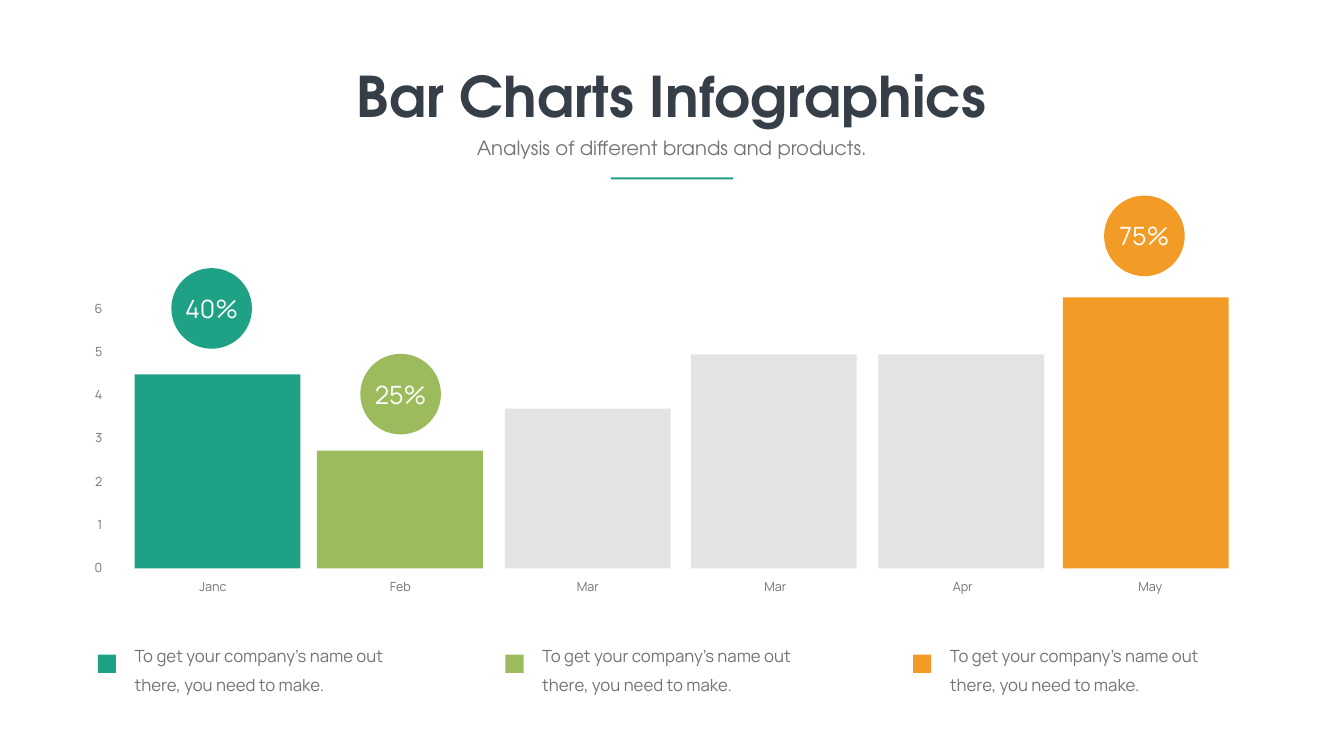
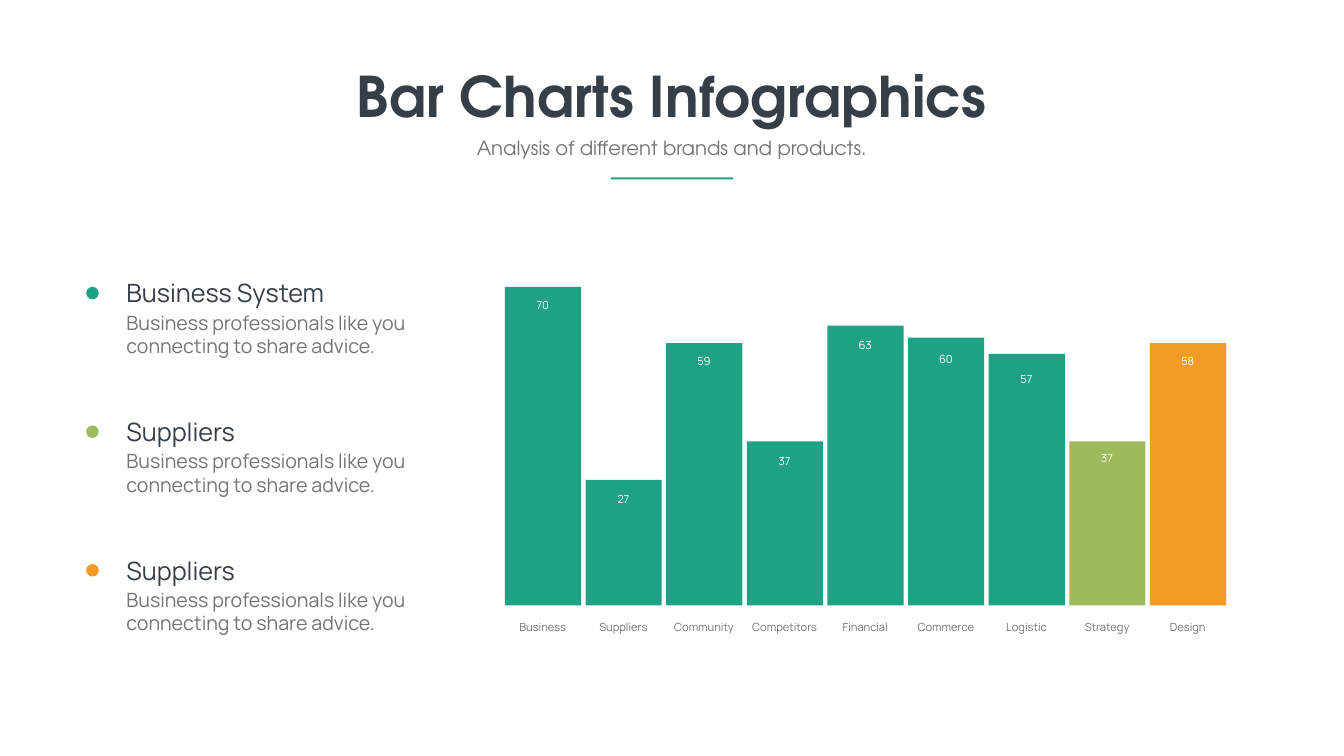
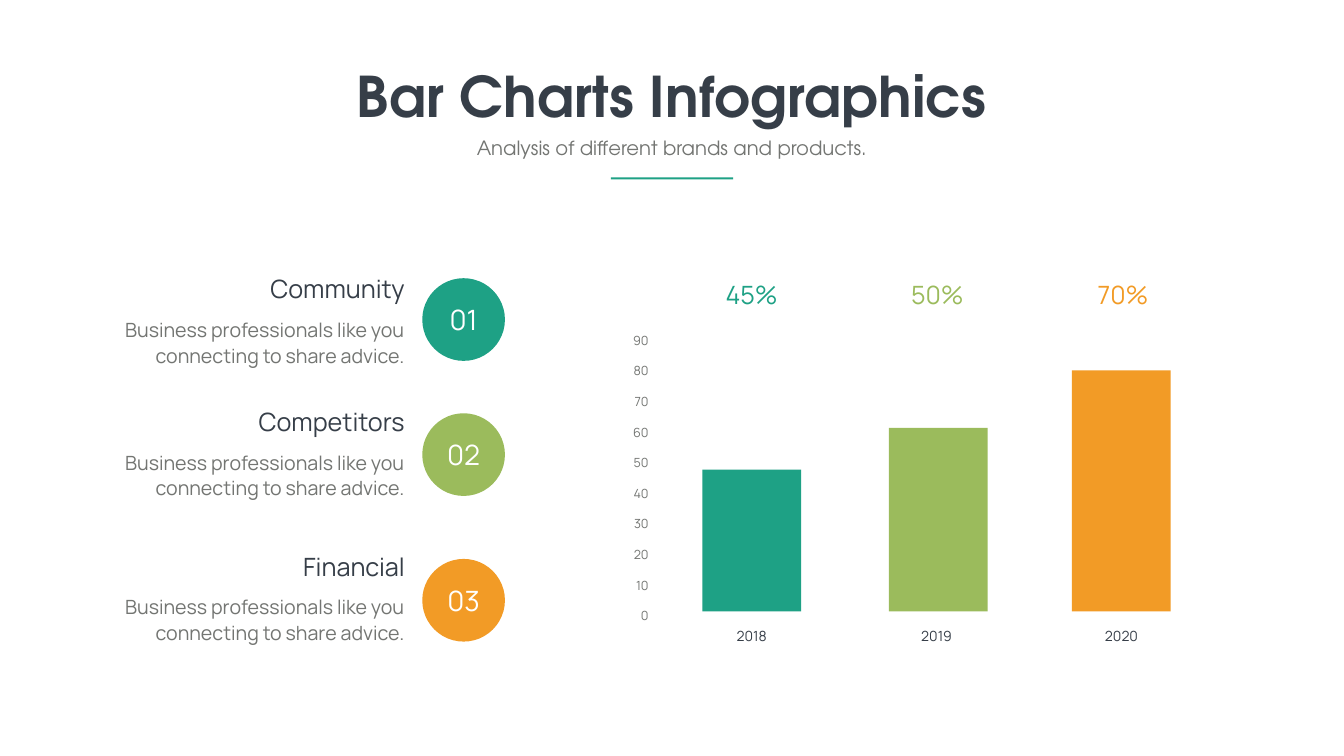
import pptx
import pptx.util
import pptx.dml.color
import pptx.enum.shapes
import pptx.enum.text

PX = 9144
GREEN, LIME, AMBER = HUES = ("1EA185", "9BBB5C", "F29B26")
GREY, INK, PALE, WHITE = "737572", "363E48", "E3E3E3", "FFFFFF"
SANS, HEAD = "Manrope", "TeX Gyre Adventor"
LEFT = pptx.enum.text.PP_ALIGN.LEFT
MID = pptx.enum.text.PP_ALIGN.CENTER
RIGHT = pptx.enum.text.PP_ALIGN.RIGHT
RECT = pptx.enum.shapes.MSO_SHAPE.RECTANGLE
DISC = pptx.enum.shapes.MSO_SHAPE.OVAL
ADVICE = "Business professionals like you connecting to share advice."


def emu(box):
    return [pptx.util.Emu(round(side * PX)) for side in box]


def paint(color):
    return pptx.dml.color.RGBColor.from_string(color)


def style(frame, words, size, color, align=LEFT, face=SANS, bold=False, line=None):
    frame.text = words
    part = frame.paragraphs[0]
    part.alignment = align
    part.space_before = pptx.util.Pt(0)
    if line:
        part.line_spacing = pptx.util.Pt(line)
    for run in part.runs:
        run.font.size = pptx.util.Pt(size)
        run.font.name = face
        run.font.bold = bold
        run.font.color.rgb = paint(color)


def grow(frame, wrap=True):
    frame.word_wrap = wrap
    frame.auto_size = pptx.enum.text.MSO_AUTO_SIZE.SHAPE_TO_FIT_TEXT
    frame.vertical_anchor = pptx.enum.text.MSO_ANCHOR.TOP


def write(slide, box, words, size, color=GREY, align=LEFT, line=None):
    frame = slide.shapes.add_textbox(*emu(box)).text_frame
    grow(frame)
    style(frame, words, size, color, align, line=line)
    return frame


def draw(slide, kind, box, color):
    shape = slide.shapes.add_shape(kind, *emu(box))
    shape.shadow.inherit = False
    shape.fill.solid()
    shape.fill.fore_color.rgb = paint(color)
    shape.line.fill.background()
    return shape


def badge(slide, x, y, side, color, words, size):
    frame = draw(slide, DISC, (x, y, side, side), color).text_frame
    frame.word_wrap = False
    frame.vertical_anchor = pptx.enum.text.MSO_ANCHOR.MIDDLE
    style(frame, words, size, WHITE, MID)


def header(slide, x, y):
    title, note = slide.placeholders
    rows = (
        (title, (x, y, 1282, 145), "Bar Charts Infographics", 80, INK, True),
        (note, (x + 163, y + 148, 956, 57),
         "Analysis of different brands and products.", 28, GREY, False),
    )
    for shape, box, words, size, color, bold in rows:
        shape.left, shape.top, shape.width, shape.height = emu(box)
        grow(shape.text_frame, not bold)
        style(shape.text_frame, words, size, color, MID, HEAD, bold)
    draw(slide, RECT, (x + 520, y + 235, 243, 4), GREEN)


def bars(slide, x, base, wide, cols):
    for step, tall, color in cols:
        draw(slide, RECT, (x + step, base - tall, wide, tall), color)


def ticks(slide, x, y, tall, marks):
    gap = tall / (len(marks) - 1)
    for i, mark in enumerate(marks):
        write(slide, (x, y + i * gap, 89, 40), str(mark), 18, align=RIGHT)


def labels(slide, x, y, gap, wide, tall, names, size, color=GREY):
    for i, name in enumerate(names):
        write(slide, (x + i * gap, y, wide, tall), name, size, color, MID)


def legend(slide, x, y):
    for i, color in enumerate(HUES):
        left = x + i * 809
        draw(slide, RECT, (left, y + 46, 36, 36), color)
        frame = write(slide, (left + 49, y, 611, 135),
                      "To get your company’s name out there, you need to make.", 24, line=40.8)
        frame.margin_left = frame.margin_right = emu([24])[0]
        frame.margin_top = frame.margin_bottom = emu([12])[0]


def months(slide, x, y):
    cols = ((0, 385, GREEN), (362, 234, LIME), (735, 317, PALE),
            (1104, 425, PALE), (1476, 425, PALE), (1842, 538, AMBER))
    bars(slide, x, y + 740, 329, cols)
    discs = ((73, 144, "40%"), (448, 314, "25%"), (1924, 0, "75%"))
    for (step, drop, words), color in zip(discs, HUES):
        badge(slide, x + step, y + drop, 160, color, words, 36)
    ticks(slide, x - 143, y + 204, 514, range(6, -1, -1))
    labels(slide, x + 111, y + 756, 372, 89, 40,
           ("Janc", "Feb", "Mar", "Mar", "Apr", "May"), 18)


def points(slide, x, y):
    for i, name in enumerate(("Business System", "Suppliers", "Suppliers")):
        top = y + i * 275
        draw(slide, DISC, (x, top + 23, 25, 25), HUES[i])
        write(slide, (x + 70, top + 65, 638, 104), ADVICE, 28)
        write(slide, (x + 70, top, 489, 71), name, 36, INK)


def sectors(slide, x, y):
    gap, wide, base = 160, 151, y + 632
    rows = (
        ("Business", 70, 632, 19), ("Suppliers", 27, 249, 20),
        ("Community", 59, 520, 18), ("Competitors", 37, 325, 21),
        ("Financial", 63, 555, 21), ("Commerce", 60, 531, 24),
        ("Logistic", 57, 499, 31), ("Strategy", 37, 325, 15),
        ("Design", 58, 520, 18),
    )
    colors = [GREEN] * 7 + [LIME, AMBER]
    bars(slide, x, base, wide,
         [(i * gap, row[2], colors[i]) for i, row in enumerate(rows)])
    labels(slide, x - 30, y + 656, gap, 210, 37, [row[0] for row in rows], 16)
    for i, (name, value, tall, drop) in enumerate(rows):
        write(slide, (x - 30 + i * gap, base - tall + drop, 210, 37),
              str(value), 16, WHITE, MID)


def steps(slide, x, y):
    rows = (("Community", 0, 14), ("Competitors", 263, 19), ("Financial", 550, 21))
    for i, (name, drop, dip) in enumerate(rows):
        top = y + drop
        write(slide, (x, top + 84, 616, 113), ADVICE, 28, align=RIGHT, line=36.6)
        write(slide, (x + 128, top, 489, 71), name, 36, INK, RIGHT)
        badge(slide, x + 642, top + dip, 164, HUES[i], f"{i + 1:02}", 40)


def years(slide, x, y):
    for i, words in enumerate(("45%", "50%", "70%")):
        write(slide, (x + 194 + i * 368.5, y, 179, 71), words, 36, HUES[i], MID)
    bars(slide, x + 186, y + 663, 196, zip((0, 370, 733), (281, 364, 478), HUES))
    ticks(slide, x, y + 105, 547, range(90, -1, -10))
    labels(slide, x + 239, y + 691, 367, 89, 44, ("2018", "2019", "2020"), 20, INK)


def main():
    deck = pptx.Presentation()
    deck.slide_width, deck.slide_height = emu((2667, 1500))
    pages = (
        ((months, 267, 388), (legend, 194, 1253)),
        ((points, 171, 546), (sectors, 1002, 569)),
        ((steps, 196, 538), (years, 1208, 550)),
    )
    for page in pages:
        slide = deck.slides.add_slide(deck.slide_layouts[0])
        header(slide, 692, 117)
        for region, x, y in page:
            region(slide, x, y)
    deck.save("out.pptx")


if __name__ == "__main__":
    main()
